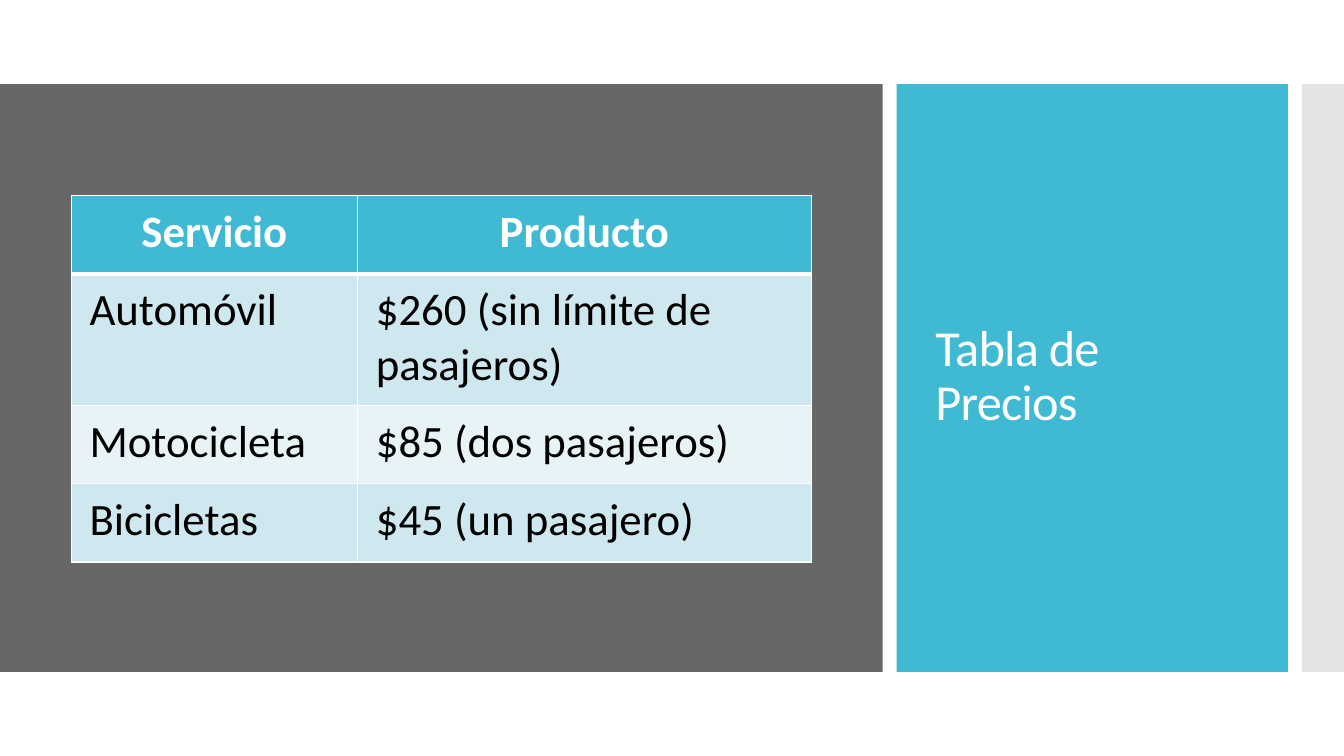
from lxml import etree
from pptx import Presentation
from pptx import util as u
from pptx.dml.color import RGBColor
from pptx.enum import shapes, text
from pptx.oxml import ns

WHITE, BLACK, TEAL, GRAY, SILVER = "FFFFFF", "000000", "40BAD2", "676767", "C8C8C8"
BANDS = ("CFE7EE", "E8F3F7")
PRICES = (
    ("Servicio", "Producto"),
    ("Automóvil", "$260 (sin límite de pasajeros)"),
    ("Motocicleta", "$85 (dos pasajeros)"),
    ("Bicicletas", "$45 (un pasajero)"),
)


def paint(fill, color):
    fill.solid()
    fill.fore_color.rgb = RGBColor.from_string(color)


def write(frame, content, size=32, color=BLACK, bold=False, align=text.PP_ALIGN.LEFT,
          line_spacing=None, tracking=None, font="Calibri"):
    paragraph = frame.paragraphs[0]
    paragraph.alignment = align
    paragraph.line_spacing = line_spacing
    run = paragraph.add_run()
    run.text = content
    run.font.name = font
    run.font.size = u.Pt(size)
    run.font.bold = bold
    run.font.color.rgb = RGBColor.from_string(color)
    if tracking is not None:
        run._r.get_or_add_rPr().set("spc", str(round(tracking * 100)))


class PriceSlide:
    def __init__(self, presentation):
        self.slide = presentation.slides.add_slide(presentation.slide_layouts[5])
        paint(self.slide.background.fill, WHITE)

    def panel(self, left, top, width, height, color, opacity=100):
        shape = self.slide.shapes.add_shape(
            shapes.MSO_SHAPE.RECTANGLE, *map(u.Pt, (left, top, width, height)))
        shape.shadow.inherit = False
        shape.line.fill.background()
        paint(shape.fill, color)
        if opacity < 100:
            tint = next(shape.element.spPr.iter(ns.qn("a:srgbClr")))
            etree.SubElement(tint, ns.qn("a:alpha")).set("val", str(opacity * 1000))

    def title(self, content, left, top, width, height):
        title = self.slide.shapes.title
        title.left, title.top, title.width, title.height = map(
            u.Pt, (left, top, width, height))
        frame = title.text_frame
        frame.word_wrap = True
        frame.auto_size = text.MSO_AUTO_SIZE.NONE
        frame.vertical_anchor = text.MSO_ANCHOR.MIDDLE
        write(frame, content, size=36, color=WHITE, line_spacing=0.9, tracking=-0.6)
        self.slide.shapes.element.append(title.element)

    def borders(self, cell, **widths):
        properties = cell._tc.get_or_add_tcPr()
        for position, side in enumerate("LRTB"):
            line = etree.Element(ns.qn(f"a:ln{side}"), w=str(u.Pt(widths.get(side, 1))))
            solid = etree.SubElement(line, ns.qn("a:solidFill"))
            etree.SubElement(solid, ns.qn("a:srgbClr"), val=WHITE)
            properties.insert(position, line)

    def table(self, rows, left, top, column_widths, row_heights):
        table = self.slide.shapes.add_table(
            len(rows), len(column_widths), u.Pt(left), u.Pt(top),
            u.Pt(sum(column_widths)), u.Pt(sum(row_heights))).table
        for column, width in zip(table.columns, column_widths):
            column.width = u.Pt(width)
        for index, (row, height) in enumerate(zip(table.rows, row_heights)):
            row.height = u.Pt(height)
            header = index == 0
            for cell, content in zip(row.cells, rows[index]):
                cell.margin_left = cell.margin_right = u.Pt(13)
                cell.margin_top = cell.margin_bottom = u.Pt(6.5)
                paint(cell.fill, TEAL if header else BANDS[(index - 1) % 2])
                self.borders(cell, B=3 if header else 1, T=3 if index == 1 else 1)
                if header:
                    write(cell.text_frame, content, color=WHITE, bold=True,
                          align=text.PP_ALIGN.CENTER)
                else:
                    write(cell.text_frame, content)


def main():
    presentation = Presentation()
    presentation.slide_width, presentation.slide_height = u.Pt(960), u.Pt(540)
    page = PriceSlide(presentation)
    page.panel(0, 60, 630.5, 420, GRAY)
    page.panel(640.5, 60, 279.5, 420, TEAL)
    page.panel(930, 60, 30, 420, SILVER, opacity=50)
    page.table(PRICES, 51, 139.5, (204.5, 324), (56, 94, 56, 56))
    page.title("Tabla de Precios", 661, 88.5, 232, 362)
    presentation.save("out.pptx")


if __name__ == "__main__":
    main()
